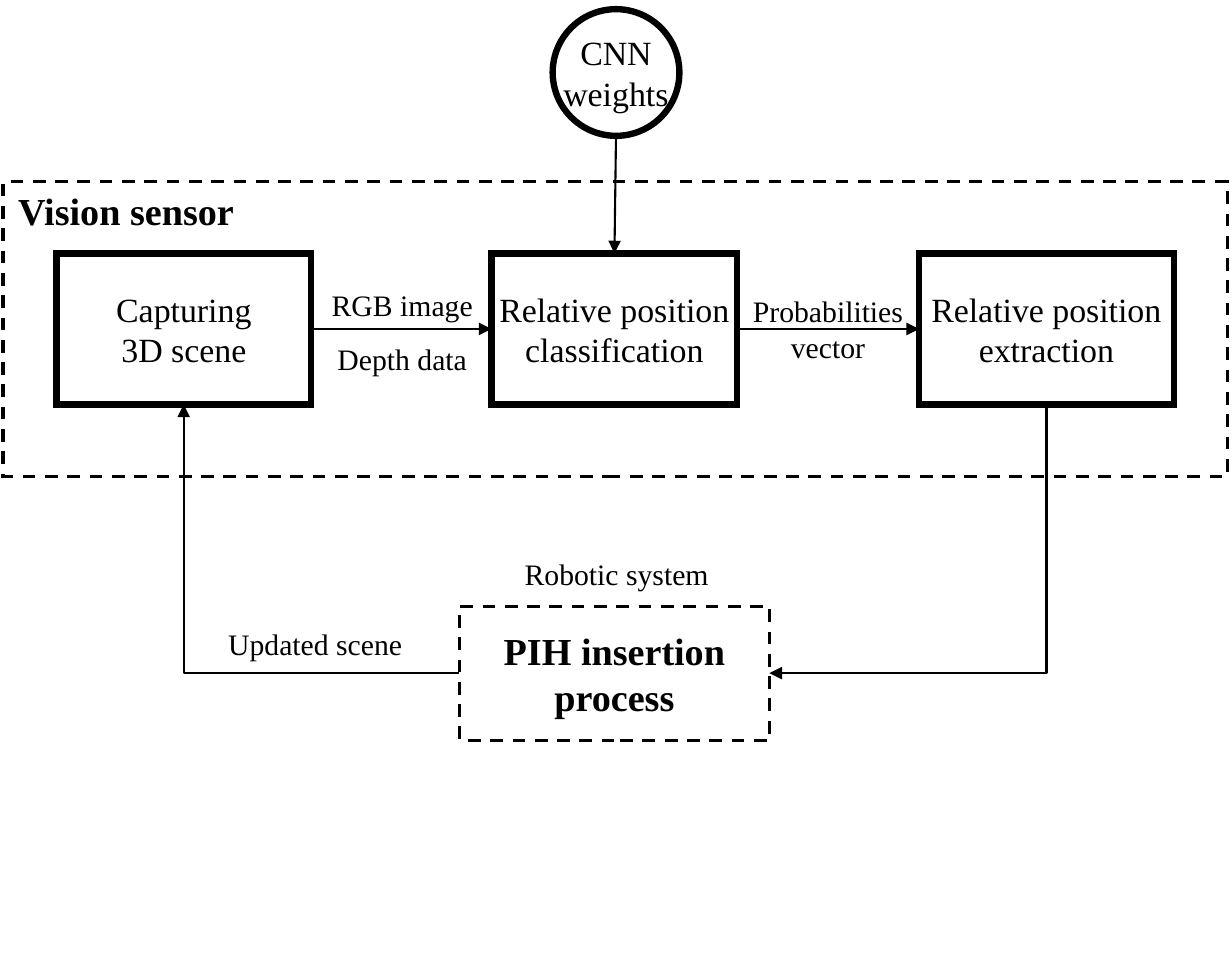
"""Flow chart of a vision sensor guiding a robotic peg-in-hole insertion."""
from dataclasses import dataclass

from lxml import etree
from pptx import Presentation
from pptx.dml.color import RGBColor
from pptx.enum import dml, shapes, text
from pptx.oxml import ns
from pptx import util as u

BLACK = RGBColor(0x00, 0x00, 0x00)
FONT = "Times New Roman"
WIDTH, HEIGHT = u.Inches(8.07), u.Inches(6.34)
COLUMN, ROW = WIDTH / 100, HEIGHT / 100
STEP_TOP, STEP_HEIGHT = 26.18, 15.62
TOP, LEFT, BOTTOM, RIGHT = range(4)
RECTANGLE, OVAL = shapes.MSO_SHAPE.RECTANGLE, shapes.MSO_SHAPE.OVAL
STRAIGHT, ELBOW = shapes.MSO_CONNECTOR.STRAIGHT, shapes.MSO_CONNECTOR.ELBOW


@dataclass(frozen=True)
class Area:
    left: float
    top: float
    width: float
    height: float

    def lengths(self) -> tuple[int, int, int, int]:
        return (round(self.left * COLUMN), round(self.top * ROW),
                round(self.width * COLUMN), round(self.height * ROW))


@dataclass(frozen=True)
class Node:
    name: str
    area: Area
    lines: tuple[str, ...] = ()
    form: int = RECTANGLE
    dashed: bool = False
    size: int = 16


@dataclass(frozen=True)
class Label:
    area: Area
    lines: tuple[str, ...]
    size: int = 14
    bold: bool = False
    align: int = text.PP_ALIGN.CENTER
    last_spacing: float = 1.0


@dataclass(frozen=True)
class Arrow:
    start: str
    start_side: int
    end: str
    end_side: int
    kind: int = STRAIGHT
    tip: str = "tailEnd"


NODES = (
    Node("sensor", Area(0.25, 18.77, 99.38, 30.44), dashed=True),
    Node("capture", Area(4.58, STEP_TOP, 20.69, STEP_HEIGHT), ("Capturing", "3D scene")),
    Node("classify", Area(39.9, STEP_TOP, 19.95, STEP_HEIGHT),
         ("Relative position", "classification")),
    Node("extract", Area(74.6, STEP_TOP, 20.69, STEP_HEIGHT),
         ("Relative position", "extraction")),
    Node("weights", Area(44.86, 0.95, 10.29, 13.09), ("CNN", "weights"), form=OVAL),
    Node("insertion", Area(37.3, 62.62, 25.15, 13.88), ("PIH insertion process",),
         dashed=True, size=18),
)
ARROWS = (
    Arrow("capture", RIGHT, "classify", LEFT),
    Arrow("classify", RIGHT, "extract", LEFT),
    Arrow("weights", BOTTOM, "classify", TOP),
    Arrow("insertion", LEFT, "capture", BOTTOM, ELBOW),
    Arrow("insertion", RIGHT, "extract", BOTTOM, ELBOW, "headEnd"),
)
LABELS = (
    Label(Area(0.25, 18.61, 22.3, 6.31), ("Vision sensor",), 18, True, text.PP_ALIGN.LEFT),
    Label(Area(25.28, 28.86, 14.75, 10.25), ("RGB image", "Depth data"), last_spacing=1.5),
    Label(Area(59.6, 29.5, 15.24, 8.99), ("Probabilities", "vector")),
    Label(Area(17.1, 63.88, 16.98, 5.36), ("Updated scene",)),
    Label(Area(39.9, 56.62, 20.32, 5.36), ("Robotic system",)),
)


def write_lines(frame, lines: tuple[str, ...], size: int, bold: bool, align: int) -> None:
    for index, line in enumerate(lines):
        para = frame.add_paragraph() if index else frame.paragraphs[0]
        para.text = line
        para.alignment = align
        para.font.name = FONT
        para.font.size = u.Pt(size)
        para.font.bold = bold
        para.font.color.rgb = BLACK


def draw_node(page, node: Node):
    box = page.shapes.add_shape(node.form, *node.area.lengths())
    box.shadow.inherit = False
    box.fill.background()
    box.line.color.rgb = BLACK
    box.line.width = u.Pt(1.5 if node.dashed else 3)
    if node.dashed:
        box.line.dash_style = dml.MSO_LINE.DASH
    outline = box.line.color.rgb and box.element.spPr.find(ns.qn("a:ln"))
    etree.SubElement(outline, ns.qn("a:miter"), lim="800000")
    frame = box.text_frame
    frame.margin_left = frame.margin_right = frame.margin_top = frame.margin_bottom = 0
    frame.word_wrap = node.form == RECTANGLE
    frame.vertical_anchor = text.MSO_ANCHOR.MIDDLE
    write_lines(frame, node.lines, node.size, node.dashed, text.PP_ALIGN.CENTER)
    return box


def draw_label(page, label: Label) -> None:
    frame = page.shapes.add_textbox(*label.area.lengths()).text_frame
    frame.word_wrap = True
    write_lines(frame, label.lines, label.size, label.bold, label.align)
    if label.last_spacing != 1:
        frame.paragraphs[-1].line_spacing = label.last_spacing


def draw_arrow(page, arrow: Arrow, boxes: dict) -> None:
    start, end = boxes[arrow.start], boxes[arrow.end]
    connector = page.shapes.add_connector(
        arrow.kind, start.left + start.width // 2, start.top + start.height, end.left, end.top)
    if start.auto_shape_type == RECTANGLE:
        connector.begin_connect(start, arrow.start_side)
    connector.end_connect(end, arrow.end_side)
    connector.line.color.rgb = BLACK
    connector.line.width = u.Pt(1)
    properties = connector._element.spPr
    if arrow.kind == ELBOW:
        properties.find(ns.qn("a:prstGeom")).set("prst", "bentConnector2")
    etree.SubElement(properties.find(ns.qn("a:ln")), ns.qn(f"a:{arrow.tip}"), type="triangle")
    etree.SubElement(properties, ns.qn("a:effectLst"))


def main() -> None:
    deck = Presentation()
    deck.slide_width, deck.slide_height = WIDTH, HEIGHT
    page = deck.slides.add_slide(deck.slide_layouts[6])
    boxes = {node.name: draw_node(page, node) for node in NODES}
    for arrow in ARROWS:
        draw_arrow(page, arrow, boxes)
    for label in LABELS:
        draw_label(page, label)
    deck.save("out.pptx")


if __name__ == "__main__":
    main()
